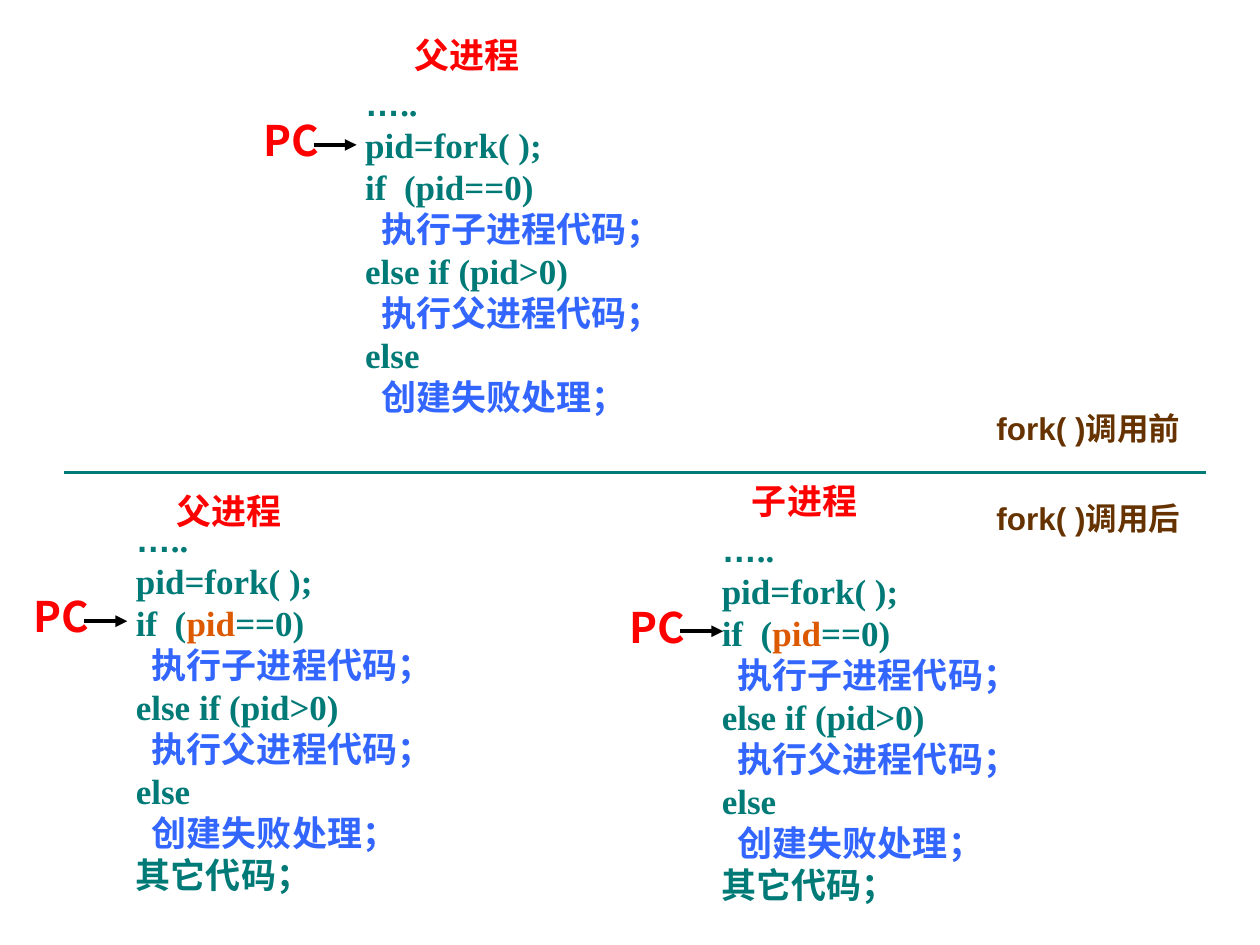
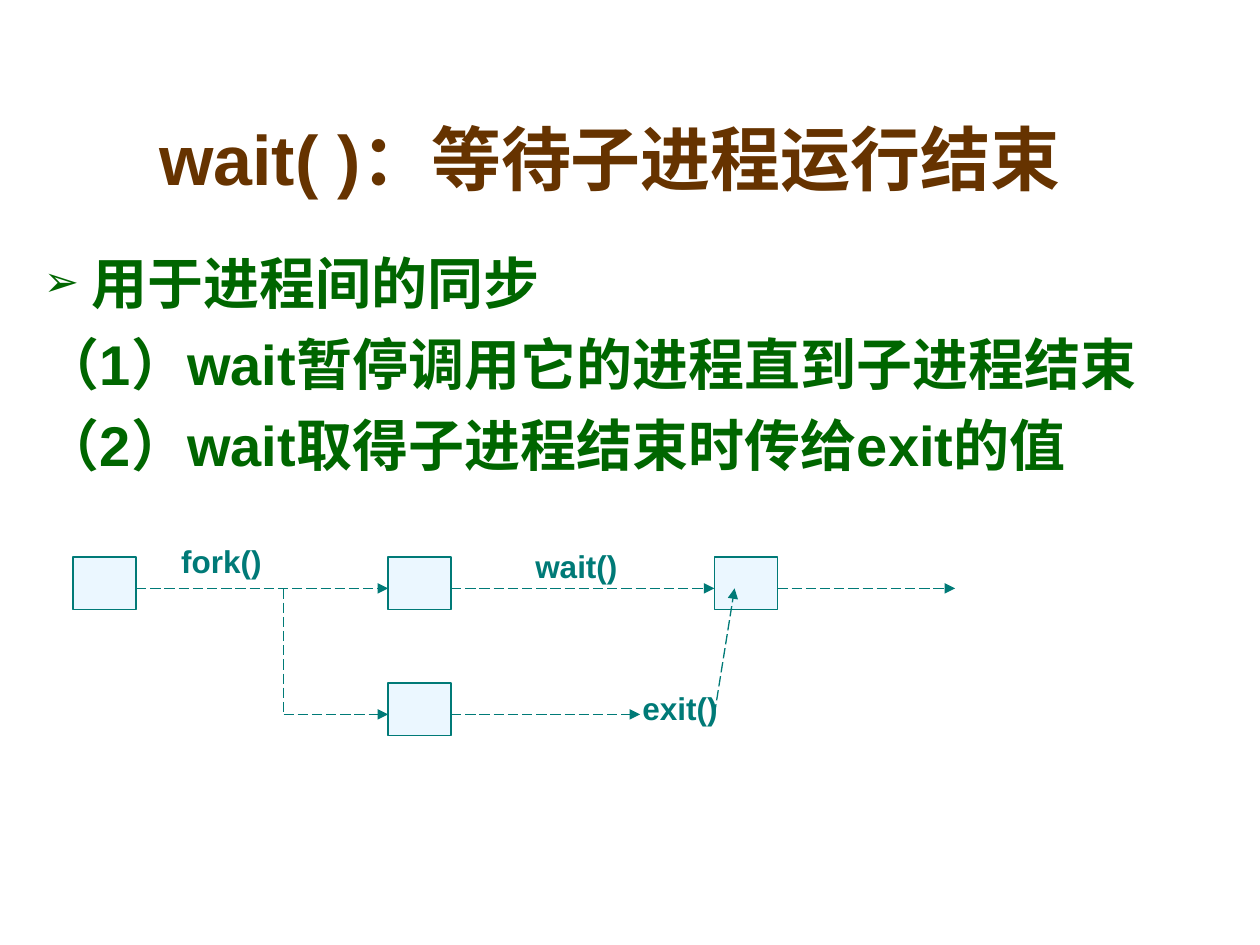
import dataclasses

import lxml.etree
import pptx
import pptx.dml.color
import pptx.enum.dml
import pptx.enum.shapes
import pptx.enum.text
import pptx.oxml.ns
import pptx.util

Inches = pptx.util.Inches
Pt = pptx.util.Pt
qn = pptx.oxml.ns.qn
ANCHOR = pptx.enum.text.MSO_ANCHOR
ALIGN = pptx.enum.text.PP_ALIGN


@dataclasses.dataclass(frozen=True)
class Theme:
    teal: str = "007A77"
    blue: str = "3366FF"
    orange: str = "DC5900"
    red: str = "FF0000"
    brown: str = "663300"
    green: str = "006600"
    black: str = "000000"
    pale: str = "EBF7FF"
    sans: str = "Arial"
    serif: str = "Times New Roman"
    chinese: str = "Noto Sans CJK SC"
    title: int = 40
    body: int = 32
    counter: int = 24
    code: int = 20
    label: int = 18
    thick: float = 2.25
    thin: float = 0.75


THEME = Theme()

# Slide 1: each line of code is a list of (text, colour, font) spans.
DOTS = [("…", THEME.teal, THEME.sans), ("..", THEME.teal, THEME.serif)]
FORK = [("pid=fork( );", THEME.teal, THEME.serif)]
TEST_BEFORE = [("if  (pid==0)", THEME.teal, THEME.serif)]
TEST_AFTER = [
    ("if  (", THEME.teal, THEME.serif),
    ("pid", THEME.orange, THEME.serif),
    ("==0)", THEME.teal, THEME.serif),
]
BRANCHES = [
    [("  执行子进程代码；", THEME.blue, THEME.serif)],
    [("else if (pid>0)", THEME.teal, THEME.serif)],
    [("  执行父进程代码；", THEME.blue, THEME.sans)],
    [("else", THEME.teal, THEME.serif)],
    [("  创建失败处理；", THEME.blue, THEME.serif)],
]
REST = [("其它代码；", THEME.teal, THEME.serif)]
CODE_BEFORE = [DOTS, FORK, TEST_BEFORE, *BRANCHES]
CODE_AFTER = [DOTS, FORK, TEST_AFTER, *BRANCHES, REST]

# heading, heading position, code, code position, code height, counter position
PROCESSES = [
    ("父进程", (3.19, 0.21), CODE_BEFORE, (2.8, 0.6), 2.77, (2.09, 0.91)),
    ("父进程", (1.3, 3.83), CODE_AFTER, (0.98, 4.06), 3.44, (0.27, 4.69)),
    ("子进程", (5.87, 3.75), CODE_AFTER, (5.63, 4.14), 3.07, (5, 4.77)),
]
PHASES = [("fork( )调用前", 3.2), ("fork( )调用后", 3.91)]
DIVIDER = ((0.51, 3.75), (9.57, 3.75))

# Slide 2
WAIT_TITLE = "wait( )：等待子进程运行结束"
WAIT_POINTS = [
    "用于进程间的同步",
    "（1）wait暂停调用它的进程直到子进程结束",
    "（2）wait取得子进程结束时传给exit的值",
]
PARENT_Y, CHILD_Y = 4.67, 5.67
STATE_WIDTH, STATE_HEIGHT, STATE_RISE = 0.5, 0.42, 0.25
STATES = [(0.58, PARENT_Y), (3.08, PARENT_Y), (5.67, PARENT_Y), (3.08, CHILD_Y)]
BRANCH_X = 2.25
FLOWS = [  # start, end, arrowhead
    ((1.08, PARENT_Y), (3.08, PARENT_Y), True),
    ((3.58, PARENT_Y), (5.67, PARENT_Y), True),
    ((6.17, PARENT_Y), (7.58, PARENT_Y), True),
    ((BRANCH_X, PARENT_Y), (BRANCH_X, CHILD_Y), False),
    ((BRANCH_X, CHILD_Y), (3.08, CHILD_Y), True),
    ((3.58, CHILD_Y), (5.08, CHILD_Y), True),
    ((5.67, CHILD_Y), (5.83, PARENT_Y), True),
]
CALLS = [
    ("exit()", (5, 5.42, 0.84, 0.4)),
    ("fork()", (1.34, 4.25, 0.86, 0.4)),
    ("wait()", (4.15, 4.29, 0.88, 0.4)),
]


def rgb(colour):
    return pptx.dml.color.RGBColor.from_string(colour)


def add_text(page, paragraphs, place, size, colour=THEME.teal, font=THEME.sans,
             anchor=ANCHOR.TOP, align=ALIGN.LEFT, wrap=True, grow=False,
             inset=True, before=0):
    """Add a box; a paragraph is a string or a list of (text, colour, font)."""
    box = page.shapes.add_textbox(*map(Inches, place))
    frame = box.text_frame
    frame.word_wrap = wrap
    frame.vertical_anchor = anchor
    fit = pptx.enum.text.MSO_AUTO_SIZE
    frame.auto_size = fit.SHAPE_TO_FIT_TEXT if grow else fit.NONE
    if not inset:
        frame.margin_left = frame.margin_right = 0
        frame.margin_top = frame.margin_bottom = 0
    if isinstance(paragraphs, str):
        paragraphs = [paragraphs]
    for index, spans in enumerate(paragraphs):
        para = frame.add_paragraph() if index else frame.paragraphs[0]
        para.alignment = align
        if index and before:
            para.space_before = Pt(before)
        if isinstance(spans, str):
            spans = [(spans, colour, font)]
        for text, span_colour, span_font in spans:
            span = para.add_run()
            span.text = text
            span.font.size = Pt(size)
            span.font.bold = True
            span.font.color.rgb = rgb(span_colour)
            span.font.name = span_font
            lxml.etree.SubElement(span.font._element, qn("a:ea"),
                                  typeface=THEME.chinese)
    return box


def add_line(page, start, end, colour, width, arrow=False, dashed=False):
    line = page.shapes.add_connector(
        pptx.enum.shapes.MSO_CONNECTOR.STRAIGHT, *map(Inches, (*start, *end)))
    line.line.color.rgb = rgb(colour)
    line.line.width = Pt(width)
    if dashed:
        line.line.dash_style = pptx.enum.dml.MSO_LINE.LONG_DASH
    properties = line._element.spPr
    if arrow:
        lxml.etree.SubElement(properties.find(qn("a:ln")), qn("a:tailEnd"),
                              type="triangle")
    lxml.etree.SubElement(properties, qn("a:effectLst"))


def add_state(page, left, flow_y):
    state = page.shapes.add_shape(
        pptx.enum.shapes.MSO_SHAPE.RECTANGLE,
        *map(Inches, (left, flow_y - STATE_RISE, STATE_WIDTH, STATE_HEIGHT)))
    state.shadow.inherit = False
    state.fill.solid()
    state.fill.fore_color.rgb = rgb(THEME.pale)
    state.line.color.rgb = rgb(THEME.teal)
    state.line.width = Pt(THEME.thin)


def hang_paragraph(para, bulleted):
    properties = para._p.get_or_add_pPr()
    properties.set("marL", str(Inches(0.38)))
    properties.set("indent", str(-Inches(0.38)))
    if bulleted:
        tint = lxml.etree.SubElement(properties, qn("a:buClr"))
        lxml.etree.SubElement(tint, qn("a:srgbClr"), val=THEME.green)
        lxml.etree.SubElement(properties, qn("a:buSzPct"), val="75000")
        lxml.etree.SubElement(properties, qn("a:buFont"), typeface=THEME.sans)
        lxml.etree.SubElement(properties, qn("a:buChar"), char="➢")
    else:
        lxml.etree.SubElement(properties, qn("a:buNone"))


def build_fork_page(page):
    for heading, heading_at, code, code_at, height, counter_at in PROCESSES:
        add_text(page, "PC", (*counter_at, 0.47, 0.39), THEME.counter,
                 colour=THEME.red, font=THEME.chinese, inset=False)
        left, top = counter_at[0] + 0.4, counter_at[1] + 0.24
        add_line(page, (left, top), (left + 0.34, top), THEME.black,
                 THEME.thick, arrow=True)
        add_text(page, code, (*code_at, 2.68, height), THEME.code)
        add_text(page, heading, (*heading_at, 1.1, 0.44), THEME.code,
                 colour=THEME.red, anchor=ANCHOR.MIDDLE, grow=True)
    add_line(page, *DIVIDER, THEME.teal, THEME.thick)
    for phase, top in PHASES:
        add_text(page, phase, (7.81, top, 1.72, 0.4), THEME.label,
                 colour=THEME.brown, anchor=ANCHOR.MIDDLE, wrap=False, grow=True)


def build_wait_page(page):
    add_text(page, WAIT_TITLE, (0.17, 0.83, 9.34, 0.84), THEME.title,
             colour=THEME.brown, anchor=ANCHOR.MIDDLE, align=ALIGN.CENTER)
    points = add_text(page, WAIT_POINTS, (0.25, 1.92, 9.34, 2.08), THEME.body,
                      colour=THEME.green, before=8)
    for index, para in enumerate(points.text_frame.paragraphs):
        hang_paragraph(para, bulleted=index == 0)
    for left, flow_y in STATES:
        add_state(page, left, flow_y)
    for start, end, arrow in FLOWS:
        add_line(page, start, end, THEME.teal, THEME.thin, arrow, dashed=True)
    for call, place in CALLS:
        add_text(page, call, place, THEME.label, wrap=False)


def main():
    deck = pptx.Presentation()
    deck.slide_width, deck.slide_height = Inches(10), Inches(7.5)
    for build in (build_fork_page, build_wait_page):
        build(deck.slides.add_slide(deck.slide_layouts[6]))
    deck.save("out.pptx")


if __name__ == "__main__":
    main()
